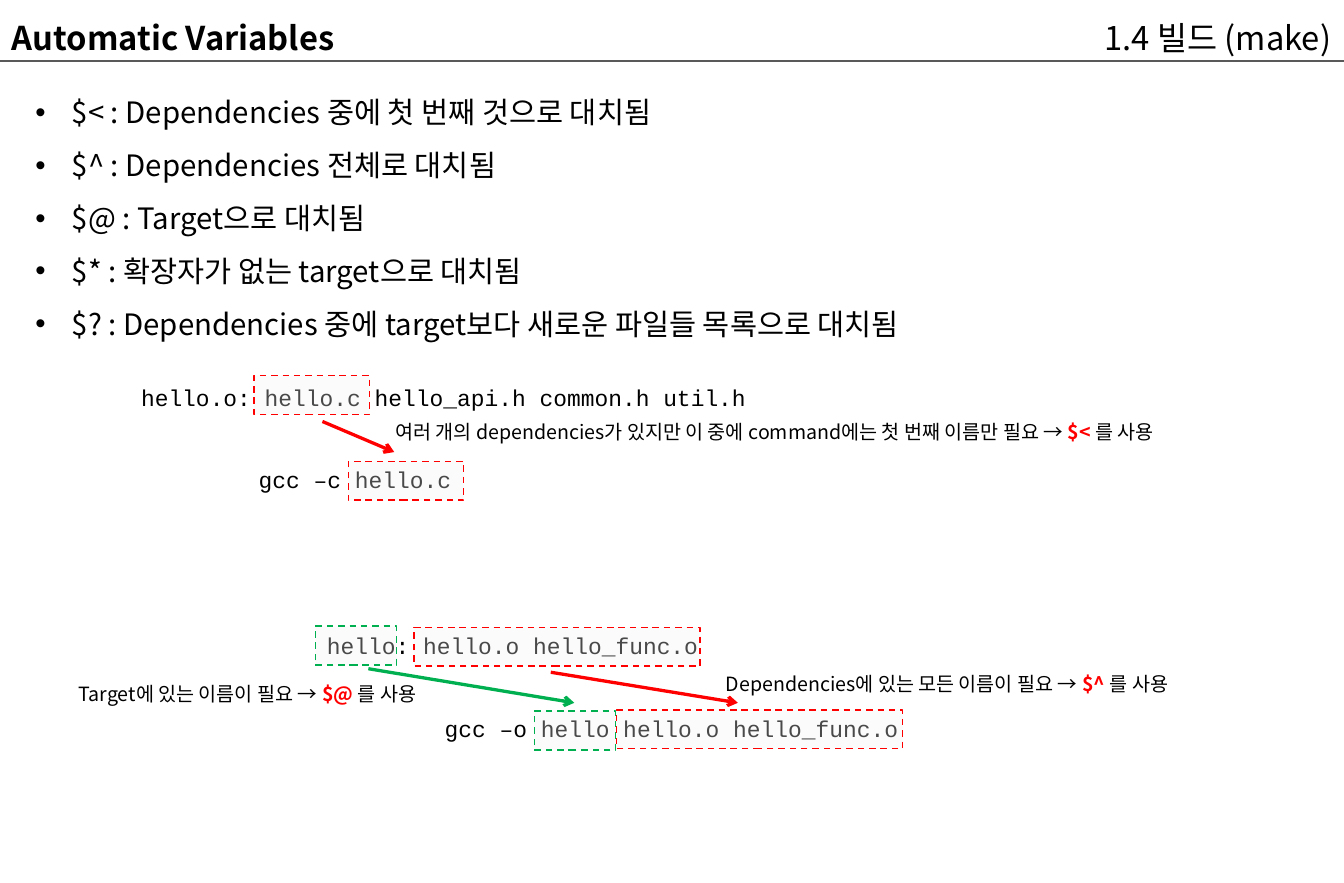
from pptx import Presentation
from pptx.dml.color import RGBColor
from pptx.enum.dml import MSO_LINE
from pptx.enum.shapes import MSO_CONNECTOR, MSO_SHAPE
from pptx.enum.text import MSO_ANCHOR, PP_ALIGN
from pptx.oxml.ns import qn
from pptx.util import Inches, Pt
from lxml import etree

DASH, LINE, RECT = MSO_LINE.DASH, MSO_CONNECTOR.STRAIGHT, MSO_SHAPE.RECTANGLE
TOP, LEFT, RIGHT = MSO_ANCHOR.TOP, PP_ALIGN.LEFT, PP_ALIGN.RIGHT
BLACK = RGBColor(0x00, 0x00, 0x00)
GRAY = RGBColor(0x59, 0x59, 0x59)
PALE = RGBColor(0xF2, 0xF2, 0xF2)
RED = RGBColor(0xFF, 0x00, 0x00)
GREEN = RGBColor(0x00, 0xB0, 0x50)
SANS, MONO = "Noto Sans CJK KR", "Courier New"

TITLE = "Automatic Variables"
TOPIC = "1.4 빌드 (make)"
RULES = [
    "$< : Dependencies 중에 첫 번째 것으로 대치됨",
    "$^ : Dependencies 전체로 대치됨",
    "$@ : Target으로 대치됨",
    "$* : 확장자가 없는 target으로 대치됨",
    "$? : Dependencies 중에 target보다 새로운 파일들 목록으로 대치됨",
]
CODES = [
    ((1.1, 3.21, 5.48, 1.04),
     "hello.o: hello.c hello_api.h common.h util.h", "gcc –c hello.c"),
    ((2.68, 5.32, 6.06, 1.04),
     "hello: hello.o hello_func.o", "gcc –o hello hello.o hello_func.o"),
]
MARKS = [
    (0.98, RED, [(2.16, 3.19), (2.96, 3.92)]),
    (2.43, RED, [(3.52, 5.33), (5.24, 6.03)]),
    (0.69, GREEN, [(2.68, 5.32), (4.54, 6.04)]),
]
ARROWS = [
    ((2.74, 3.58, 3.35, 3.84), RED),
    ((4.68, 5.71, 6.27, 5.97), RED),
    ((3.13, 5.68, 4.88, 5.97), GREEN),
]
NOTES = [
    ((3.26, 3.52, 7.26, 0.3),
     "여러 개의 dependencies가 있지만 이 중에 command에는 첫 번째 이름만 필요 → ", "$< "),
    ((6.07, 5.66, 4.3, 0.3), "Dependencies에 있는 모든 이름이 필요 → ", "$^ "),
    ((0.57, 5.74, 3.38, 0.3), "Target에 있는 이름이 필요 → ", "$@ "),
]
USE = "를 사용"


def write(para, text, size, name=SANS, color=BLACK, bold=False):
    run = para.add_run()
    run.text = text
    font = run.font
    for key, value in {"size": Pt(size), "name": name, "bold": bold}.items():
        setattr(font, key, value)
    font.color.rgb = color
    font._element.set("kern", "0")
    if name == SANS:
        east = etree.SubElement(font._element, qn("a:ea"))
        east.set("typeface", name)


def indent(para, left, first):
    props = para._p.get_or_add_pPr()
    props.set("marL", str(Inches(left)))
    props.set("indent", str(Inches(first)))
    return props


def place(shape, area):
    for key, value in zip(("left", "top", "width", "height"), area):
        setattr(shape, key, Inches(value))
    frame = shape.text_frame
    frame.word_wrap = True
    frame.vertical_anchor = TOP
    return frame


def add_text(area):
    return place(slide.shapes.add_textbox(0, 0, 0, 0), area)


def add_line(ends, color, width):
    line = slide.shapes.add_connector(LINE, *map(Inches, ends))
    line.line.color.rgb = color
    line.line.width = Pt(width)
    etree.SubElement(line._element.spPr, qn("a:effectLst"))
    return line


deck = Presentation()
deck.slide_width, deck.slide_height = Inches(11.42), Inches(7.5)
slide = deck.slides.add_slide(deck.slide_layouts[1])
add_line((0, 0.52, 11.42, 0.52), GRAY, 1.5)

heads = [
    (place(slide.shapes.title, (0, 0.1, 4.69, 0.44)), TITLE, LEFT, True),
    (add_text((7.2, 0.1, 4.21, 0.44)), TOPIC, RIGHT, False),
]
for frame, text, align, bold in heads:
    para = frame.paragraphs[0]
    para.alignment = align
    write(para, text, 20, bold=bold)

frame = place(slide.placeholders[1], (0.2, 0.6, 11.02, 2.37))
for i, text in enumerate(RULES):
    para = frame.paragraphs[0] if i == 0 else frame.add_paragraph()
    props = indent(para, 0.31, -0.31)
    etree.SubElement(props, qn("a:buFont")).set("typeface", "Arial")
    etree.SubElement(props, qn("a:buChar")).set("char", "•")
    para.line_spacing = Pt(32.4)
    para.space_before = Pt(0)
    write(para, text, 18)

for area, rule, order in CODES:
    frame = add_text(area)
    write(frame.paragraphs[0], rule, 14, MONO)
    para = frame.add_paragraph()
    indent(para, 1, 0)
    para.space_before = Pt(33.5)
    write(para, order, 14, MONO)

for width, color, spots in MARKS:
    for x, y in spots:
        mark = slide.shapes.add_shape(RECT, *map(Inches, (x, y, width, 0.33)))
        mark.shadow.inherit = False
        mark.fill.solid()
        mark.fill.fore_color.rgb = PALE
        tint = mark._element.spPr.find(qn("a:solidFill"))[0]
        etree.SubElement(tint, qn("a:alpha")).set("val", "30000")
        mark.line.color.rgb = color
        mark.line.width = Pt(1)
        mark.line.dash_style = DASH

for ends, color in ARROWS:
    arrow = add_line(ends, color, 2)
    tail = etree.SubElement(arrow.line._get_or_add_ln(), qn("a:tailEnd"))
    tail.set("type", "arrow")

for area, text, sign in NOTES:
    para = add_text(area).paragraphs[0]
    write(para, text, 12)
    write(para, sign, 12, color=RED, bold=True)
    write(para, USE, 12)

deck.save("out.pptx")
